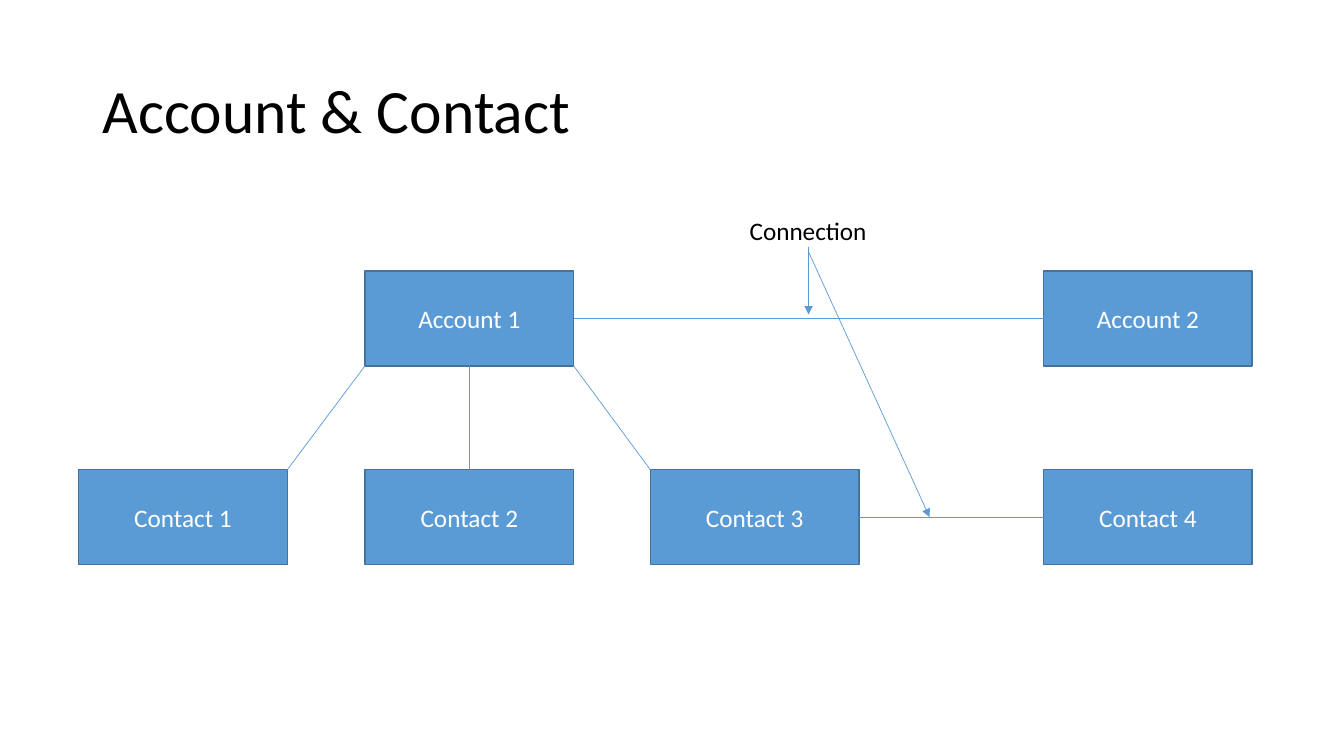
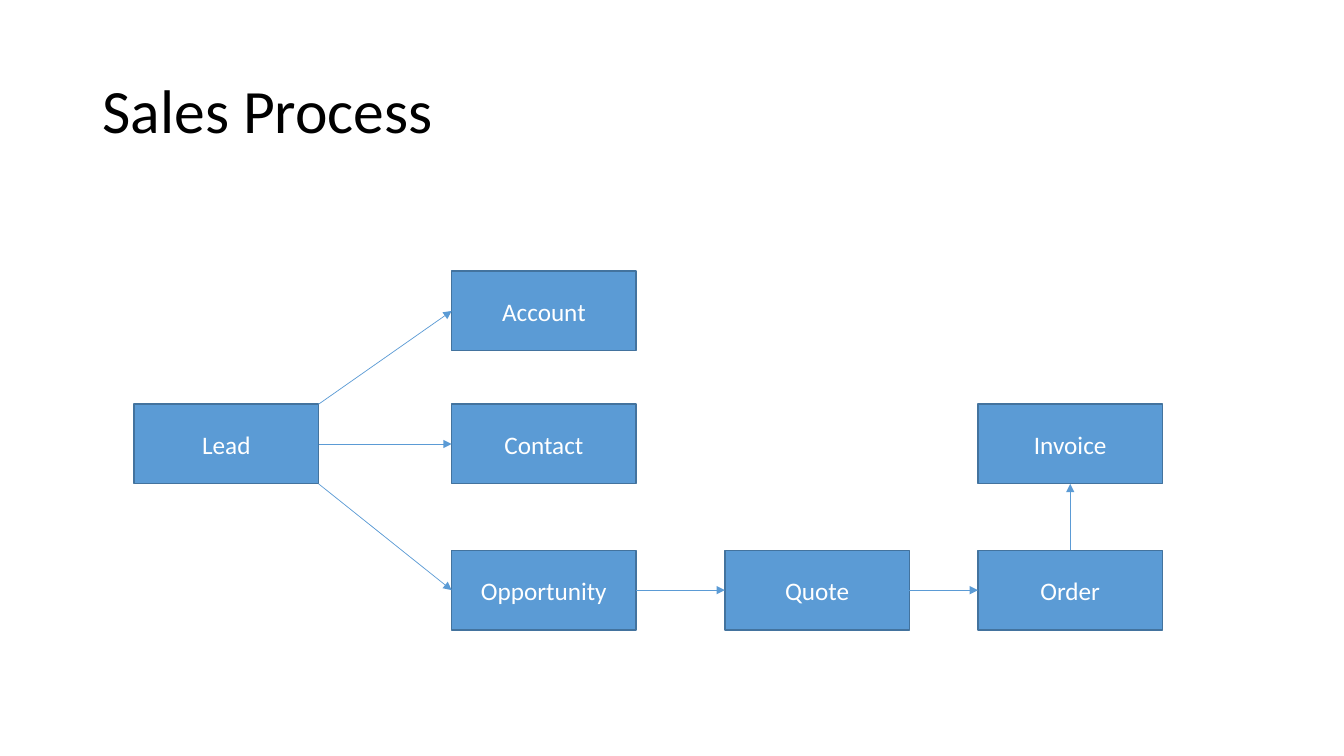
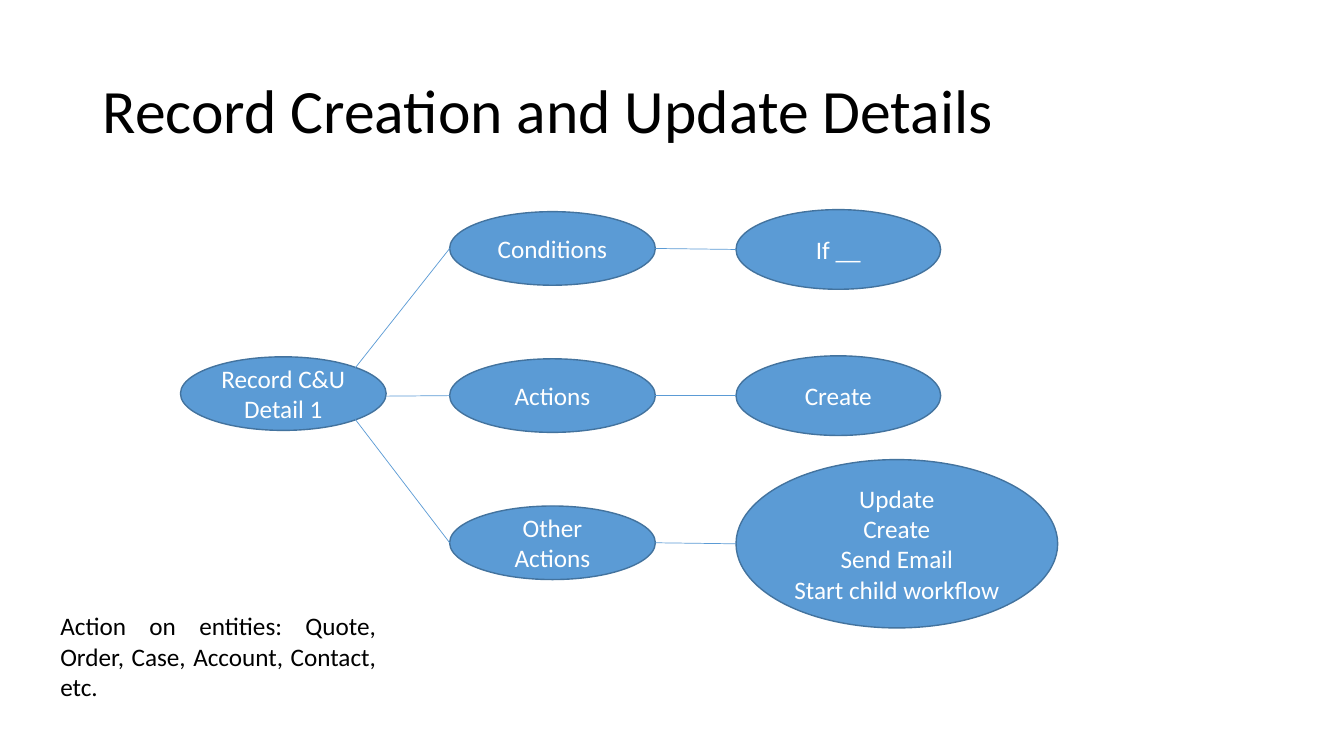
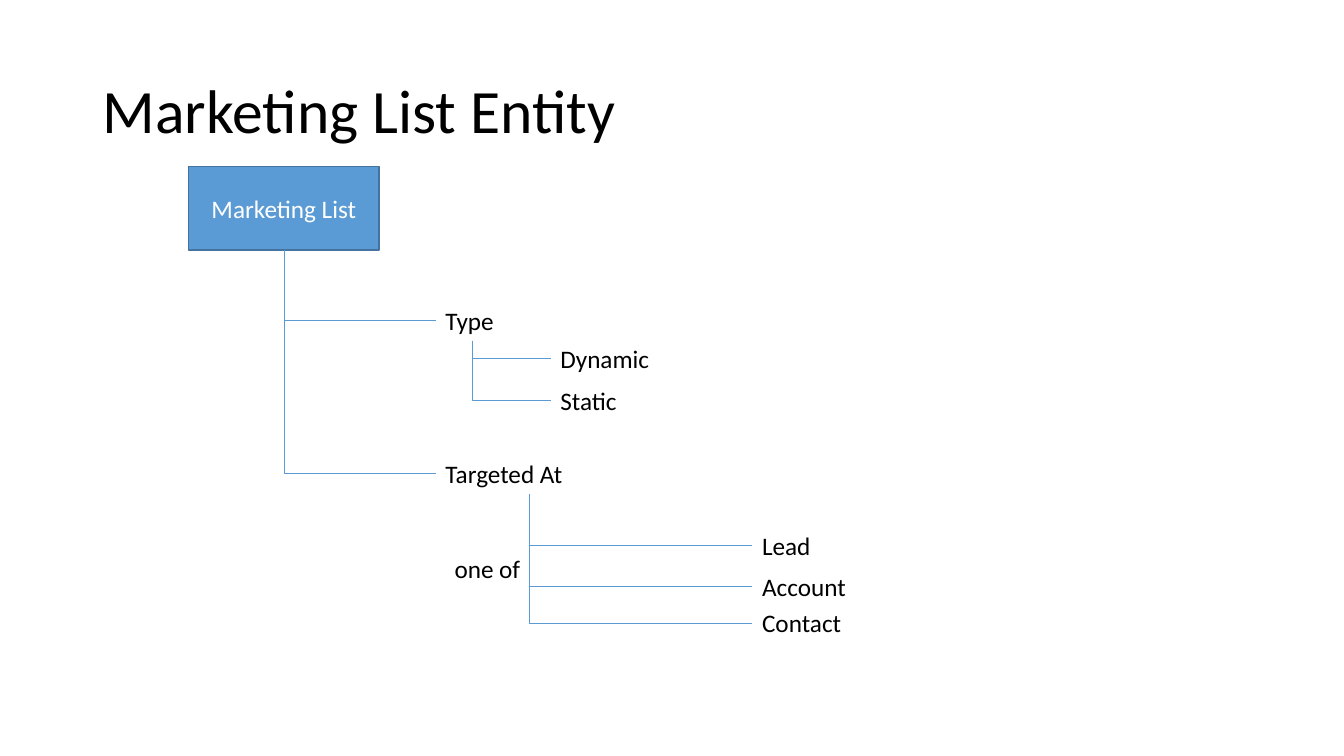
from dataclasses import dataclass
from typing import Any, Optional

import lxml.etree
import pptx
import pptx.dml.color
import pptx.enum.shapes
import pptx.enum.text
import pptx.oxml.ns
import pptx.util

Inches = pptx.util.Inches
Pt = pptx.util.Pt
RGBColor = pptx.dml.color.RGBColor
Kind = pptx.enum.shapes.MSO_SHAPE
Route = pptx.enum.shapes.MSO_CONNECTOR
Align = pptx.enum.text.PP_ALIGN
Anchor = pptx.enum.text.MSO_ANCHOR
qn = pptx.oxml.ns.qn

BLUE = RGBColor(0x5B, 0x9B, 0xD5)
DARK_BLUE = RGBColor(0x43, 0x73, 0x9E)
WHITE = RGBColor(0xFF, 0xFF, 0xFF)
BLACK = RGBColor(0x00, 0x00, 0x00)
FONT = "Calibri"
BODY_SIZE = 18
TITLE_SIZE = 44

SIDES = {(0.5, 0): 0, (0, 0.5): 1, (0.5, 1): 2, (1, 0.5): 3}
ELLIPSE_TOP_RIGHT = (0.85, 0.15)
ELLIPSE_BOTTOM_RIGHT = (0.85, 0.85)


@dataclass(frozen=True)
class Area:
    left: float
    top: float
    width: float
    height: float

    def lengths(self) -> tuple:
        return tuple(Inches(v) for v in (self.left, self.top, self.width, self.height))


@dataclass(frozen=True)
class Spot:
    x: int
    y: int
    box: Any = None
    side: Optional[int] = None


@dataclass(frozen=True)
class Label:
    text: str
    area: Area


def spot_on(box: Any, across: float, down: float) -> Spot:
    x = round(box.left + box.width * across)
    y = round(box.top + box.height * down)
    is_rectangle = box.auto_shape_type == Kind.RECTANGLE
    side = SIDES.get((across, down)) if is_rectangle else None
    return Spot(x, y, box, side)


def edge(box: Any, across: float, down: float) -> Spot:
    return Spot(round(box.left + box.width * across), round(box.top + box.height * down))


def write(frame: Any, text: str, color: RGBColor, align: Any = Align.LEFT,
          size: int = BODY_SIZE, spacing: Optional[float] = None) -> None:
    frame.word_wrap = True
    for index, line in enumerate(text.split("\n")):
        para = frame.add_paragraph() if index else frame.paragraphs[0]
        para.alignment = align
        if spacing:
            para.line_spacing = spacing
        span = para.add_run()
        span.text = line
        span.font.name = FONT
        span.font.size = Pt(size)
        span.font.color.rgb = color


def add_page(deck: Any, title: str) -> Any:
    page = deck.slides.add_slide(deck.slide_layouts[6])
    box = page.shapes.add_textbox(*Area(0.92, 0.4, 11.5, 1.45).lengths())
    box.text_frame.vertical_anchor = Anchor.MIDDLE
    write(box.text_frame, title, BLACK, size=TITLE_SIZE, spacing=0.9)
    return page


def add_node(page: Any, text: str, area: Area, kind: Any = Kind.RECTANGLE) -> Any:
    box = page.shapes.add_shape(kind, *area.lengths())
    box.shadow.inherit = False
    box.fill.solid()
    box.fill.fore_color.rgb = BLUE
    box.line.color.rgb = DARK_BLUE
    box.line.width = Pt(1)
    box.text_frame.vertical_anchor = Anchor.MIDDLE
    write(box.text_frame, text, WHITE, Align.CENTER)
    return box


def add_label(page: Any, label: Label, align: Any = Align.LEFT) -> Any:
    box = page.shapes.add_textbox(*label.area.lengths())
    box.text_frame.auto_size = pptx.enum.text.MSO_AUTO_SIZE.SHAPE_TO_FIT_TEXT
    write(box.text_frame, label.text, BLACK, align)
    return box


def style_link(link: Any, arrow: bool = False) -> None:
    link.line.color.rgb = BLUE
    link.line.width = Pt(0.5)
    properties = link._element.spPr
    if arrow:
        lxml.etree.SubElement(properties.find(qn("a:ln")), qn("a:tailEnd"), type="triangle")
    lxml.etree.SubElement(properties, qn("a:effectLst"))


def add_link(page: Any, start: Spot, end: Spot, arrow: bool = False) -> None:
    link = page.shapes.add_connector(Route.STRAIGHT, start.x, start.y, end.x, end.y)
    if start.side is not None:
        link.begin_connect(start.box, start.side)
    if end.side is not None:
        link.end_connect(end.box, end.side)
    style_link(link, arrow)


def add_branch(page: Any, parent: Any, child: Any) -> None:
    start, end = edge(parent, 0.5, 1), edge(child, 0, 0.5)
    run, drop = end.x - start.x, end.y - start.y
    left = (start.x + end.x - drop) // 2
    top = (start.y + end.y - run) // 2
    link = page.shapes.add_connector(Route.ELBOW, left, top, left + drop, top + run)
    properties = link._element.spPr
    properties.find(qn("a:prstGeom")).set("prst", "bentConnector2")
    turn = properties.find(qn("a:xfrm"))
    turn.set("rot", str(270 * 60000))
    turn.set("flipH", "1")
    style_link(link)


def build_account_page(deck: Any) -> None:
    page = add_page(deck, "Account & Contact")
    places = {
        "Account 1": (3.62, 2.69), "Account 2": (10.35, 2.69),
        "Contact 1": (0.78, 4.66), "Contact 2": (3.62, 4.66),
        "Contact 3": (6.45, 4.66), "Contact 4": (10.35, 4.66),
    }
    nodes = {text: add_node(page, text, Area(*place, 2.07, 0.94))
             for text, place in places.items()}
    add_label(page, Label("Connection", Area(6.81, 2.09, 2.41, 0.4)), Align.CENTER)
    links = (
        ("Account 1", (0, 1), "Contact 1", (1, 0)),
        ("Account 1", (0.5, 1), "Contact 2", (0.5, 0)),
        ("Account 1", (1, 1), "Contact 3", (0, 0)),
        ("Account 1", (1, 0.5), "Account 2", (0, 0.5)),
        ("Contact 3", (1, 0.5), "Contact 4", (0, 0.5)),
    )
    for source, leave, target, arrive in links:
        add_link(page, spot_on(nodes[source], *leave), spot_on(nodes[target], *arrive))
    for start_y, end_x, end_y in ((2.45, 8.02, 3.12), (2.5, 9.22, 5.13)):
        add_link(page, Spot(Inches(8.02), Inches(start_y)),
                 Spot(Inches(end_x), Inches(end_y)), arrow=True)


def build_sales_page(deck: Any) -> None:
    page = add_page(deck, "Sales Process")
    columns = (1.33, 4.48, 7.19, 9.7)
    rows = (2.69, 4.01, 5.46)
    cells = {
        "Lead": (0, 1), "Account": (1, 0), "Contact": (1, 1), "Opportunity": (1, 2),
        "Quote": (2, 2), "Order": (3, 2), "Invoice": (3, 1),
    }
    nodes = {text: add_node(page, text, Area(columns[column], rows[row], 1.83, 0.79))
             for text, (column, row) in cells.items()}
    links = (
        ("Lead", (1, 0), "Account", (0, 0.5)),
        ("Lead", (1, 0.5), "Contact", (0, 0.5)),
        ("Lead", (1, 1), "Opportunity", (0, 0.5)),
        ("Opportunity", (1, 0.5), "Quote", (0, 0.5)),
        ("Quote", (1, 0.5), "Order", (0, 0.5)),
        ("Order", (0.5, 0), "Invoice", (0.5, 1)),
    )
    for source, leave, target, arrive in links:
        add_link(page, spot_on(nodes[source], *leave),
                 spot_on(nodes[target], *arrive), arrow=True)


def build_record_page(deck: Any) -> None:
    page = add_page(deck, "Record Creation and Update Details")
    record = add_node(page, "Record C&U Detail 1", Area(1.79, 3.54, 2.04, 0.73), Kind.OVAL)
    record_end = Spot(record.left + record.width, Inches(3.93))
    rows = (
        ("Conditions", spot_on(record, *ELLIPSE_TOP_RIGHT),
         "If __", Area(7.3, 2.08, 2.03, 0.79)),
        ("Actions", record_end, "Create", Area(7.3, 3.53, 2.03, 0.79)),
        ("Other Actions", spot_on(record, *ELLIPSE_BOTTOM_RIGHT),
         "Update\nCreate\nSend Email\nStart child workflow", Area(7.3, 4.56, 3.19, 1.67)),
    )
    for index, (group, start, detail, area) in enumerate(rows):
        group_node = add_node(page, group, Area(4.46, 2.1 + 1.46 * index, 2.04, 0.73), Kind.OVAL)
        detail_node = add_node(page, detail, area, Kind.OVAL)
        add_link(page, start, spot_on(group_node, 0, 0.5))
        add_link(page, spot_on(group_node, 1, 0.5), spot_on(detail_node, 0, 0.5))
    note = "Action on entities: Quote, Order, Case, Account, Contact, etc."
    add_label(page, Label(note, Area(0.5, 6.01, 3.33, 1.01)), Align.JUSTIFY)


def build_marketing_page(deck: Any) -> None:
    page = add_page(deck, "Marketing List Entity")
    root = add_node(page, "Marketing List", Area(1.87, 1.65, 1.89, 0.83))
    tree = {
        Label("Type", Area(4.32, 2.98, 0.73, 0.4)): (
            Label("Dynamic", Area(5.46, 3.36, 1.34, 0.4)),
            Label("Static", Area(5.46, 3.77, 1.34, 0.4)),
        ),
        Label("Targeted At", Area(4.32, 4.5, 1.86, 0.4)): (
            Label("Lead", Area(7.46, 5.21, 1.52, 0.4)),
            Label("Account", Area(7.46, 5.62, 1.52, 0.4)),
            Label("Contact", Area(7.46, 5.98, 1.52, 0.4)),
        ),
    }
    for field, options in tree.items():
        field_box = add_label(page, field)
        add_branch(page, root, field_box)
        for option in options:
            add_branch(page, field_box, add_label(page, option))
    add_label(page, Label("one of", Area(4.41, 5.44, 0.96, 0.4)))


def main() -> None:
    deck = pptx.Presentation()
    deck.slide_width = Inches(13.33)
    deck.slide_height = Inches(7.5)
    build_account_page(deck)
    build_sales_page(deck)
    build_record_page(deck)
    build_marketing_page(deck)
    deck.save("out.pptx")


if __name__ == "__main__":
    main()
